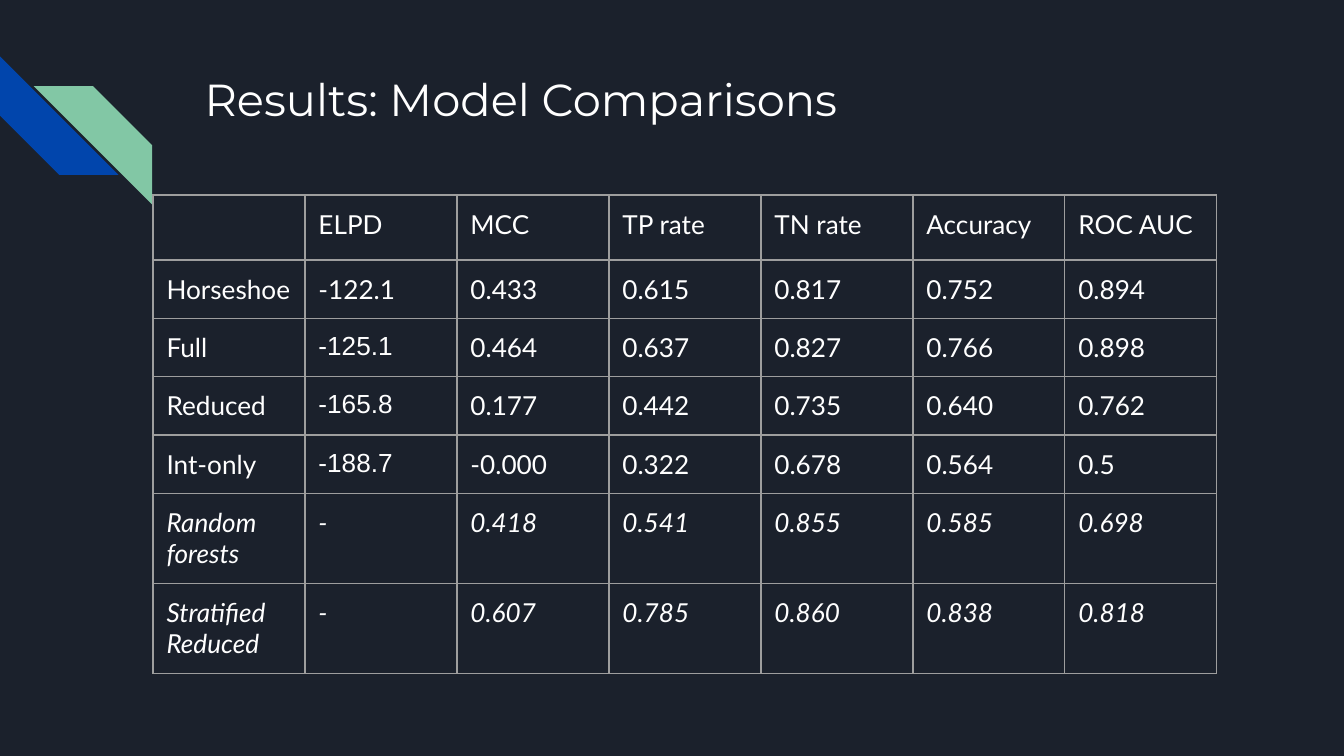
from lxml import etree
from pptx import Presentation
from pptx.dml.color import RGBColor
from pptx.enum.shapes import MSO_SHAPE
from pptx.enum.text import MSO_ANCHOR, MSO_AUTO_SIZE, PP_ALIGN
from pptx.oxml.ns import qn
from pptx.util import Pt

STRIPE = MSO_SHAPE.DIAGONAL_STRIPE
TOP, LEFT, NO_FIT = MSO_ANCHOR.TOP, PP_ALIGN.LEFT, MSO_AUTO_SIZE.NONE

NIGHT, WHITE, BLUE, GREEN, GREY = "1B212C", "FFFFFF", "0145AC", "82C7A5", "9E9E9E"
INSET = 7.2
STRIPE_SIZE = 63.5
TABLE_LEFT, TABLE_TOP, TABLE_WIDTH = 82, 104.5, 570
HEADER_HEIGHT, LINE_HEIGHT, TWO_LINE_HEIGHT = 34.8, 31.07, 48.2
ROW_HEIGHTS = [HEADER_HEIGHT] + [LINE_HEIGHT] * 4 + [TWO_LINE_HEIGHT] * 2

RESULTS = [
    ["", "ELPD", "MCC", "TP rate", "TN rate", "Accuracy", "ROC AUC"],
    ["Horseshoe", "-122.1", "0.433", "0.615", "0.817", "0.752", "0.894"],
    ["Full", "-125.1", "0.464", "0.637", "0.827", "0.766", "0.898"],
    ["Reduced", "-165.8", "0.177", "0.442", "0.735", "0.640", "0.762"],
    ["Int-only", "-188.7", "-0.000", "0.322", "0.678", "0.564", "0.5"],
    ["Random forests", "-", "0.418", "0.541", "0.855", "0.585", "0.698"],
    ["Stratified Reduced", "-", "0.607", "0.785", "0.860", "0.838", "0.818"],
]
ARIAL_VALUES = {"-125.1", "-165.8", "-188.7"}
ITALIC_MODELS = {"Random forests", "Stratified Reduced"}


def color(hex_string):
    return RGBColor.from_string(hex_string)


def write_text(frame, text, size=14, font="Lato", fill=WHITE, italic=False):
    para = frame.paragraphs[0]
    para.alignment = LEFT
    span = para.add_run()
    span.text = text
    span.font.size = Pt(size)
    span.font.name = font
    span.font.italic = italic
    span.font.color.rgb = color(fill)


def set_insets(holder):
    """Give a text frame or table cell the same margin on every side."""
    holder.margin_left = holder.margin_right = Pt(INSET)
    holder.margin_top = holder.margin_bottom = Pt(INSET)


def add_title(page, text):
    title = page.shapes.title
    title.left, title.top, title.width, title.height = Pt(102.4), Pt(31), Pt(554.4), Pt(72)
    frame = title.text_frame
    frame.word_wrap = True
    frame.auto_size = NO_FIT
    frame.vertical_anchor = TOP
    set_insets(frame)
    write_text(frame, text, size=24, font="Montserrat")


def add_stripe(page, left, top, fill, rotation=0, flipped=False):
    stripe = page.shapes.add_shape(STRIPE, Pt(left), Pt(top), Pt(STRIPE_SIZE), Pt(STRIPE_SIZE))
    stripe.shadow.inherit = False
    stripe.fill.solid()
    stripe.fill.fore_color.rgb = color(fill)
    stripe.line.fill.background()
    stripe.rotation = rotation
    if flipped:
        stripe.element.spPr.find(qn("a:xfrm")).set("flipH", "1")


def set_borders(cell, hex_string, width):
    """Draw all four sides; border elements must come before the cell's fill."""
    properties = cell._tc.get_or_add_tcPr()
    for index, side in enumerate(("lnL", "lnR", "lnT", "lnB")):
        line = etree.Element(qn(f"a:{side}"), w=str(Pt(width)))
        fill = etree.SubElement(line, qn("a:solidFill"))
        etree.SubElement(fill, qn("a:srgbClr"), val=hex_string)
        properties.insert(index, line)


def add_results_table(page, rows):
    column_count = len(rows[0])
    box = page.shapes.add_table(len(rows), column_count, Pt(TABLE_LEFT), Pt(TABLE_TOP),
                                Pt(TABLE_WIDTH), Pt(sum(ROW_HEIGHTS)))
    table = box.table
    table.first_row = table.horz_banding = False
    for column in table.columns:
        column.width = Pt(TABLE_WIDTH / column_count)
    for row_index, values in enumerate(rows):
        table.rows[row_index].height = Pt(ROW_HEIGHTS[row_index])
        for column_index, value in enumerate(values):
            cell = table.cell(row_index, column_index)
            cell.fill.background()
            cell.vertical_anchor = TOP
            set_insets(cell)
            set_borders(cell, GREY, 0.75)
            write_text(cell.text_frame, value,
                       font="Arial" if value in ARIAL_VALUES else "Lato",
                       italic=values[0] in ITALIC_MODELS)


def main():
    deck = Presentation()
    deck.slide_width, deck.slide_height = Pt(720), Pt(405)
    page = deck.slides.add_slide(deck.slide_layouts.get_by_name("Title Only"))
    page.background.fill.solid()
    page.background.fill.fore_color.rgb = color(NIGHT)
    add_stripe(page, 0, 30.2, BLUE, rotation=270)
    add_stripe(page, 18.1, 46.2, GREEN, flipped=True)
    add_title(page, "Results: Model Comparisons")
    add_results_table(page, RESULTS)
    deck.save("out.pptx")


if __name__ == "__main__":
    main()
